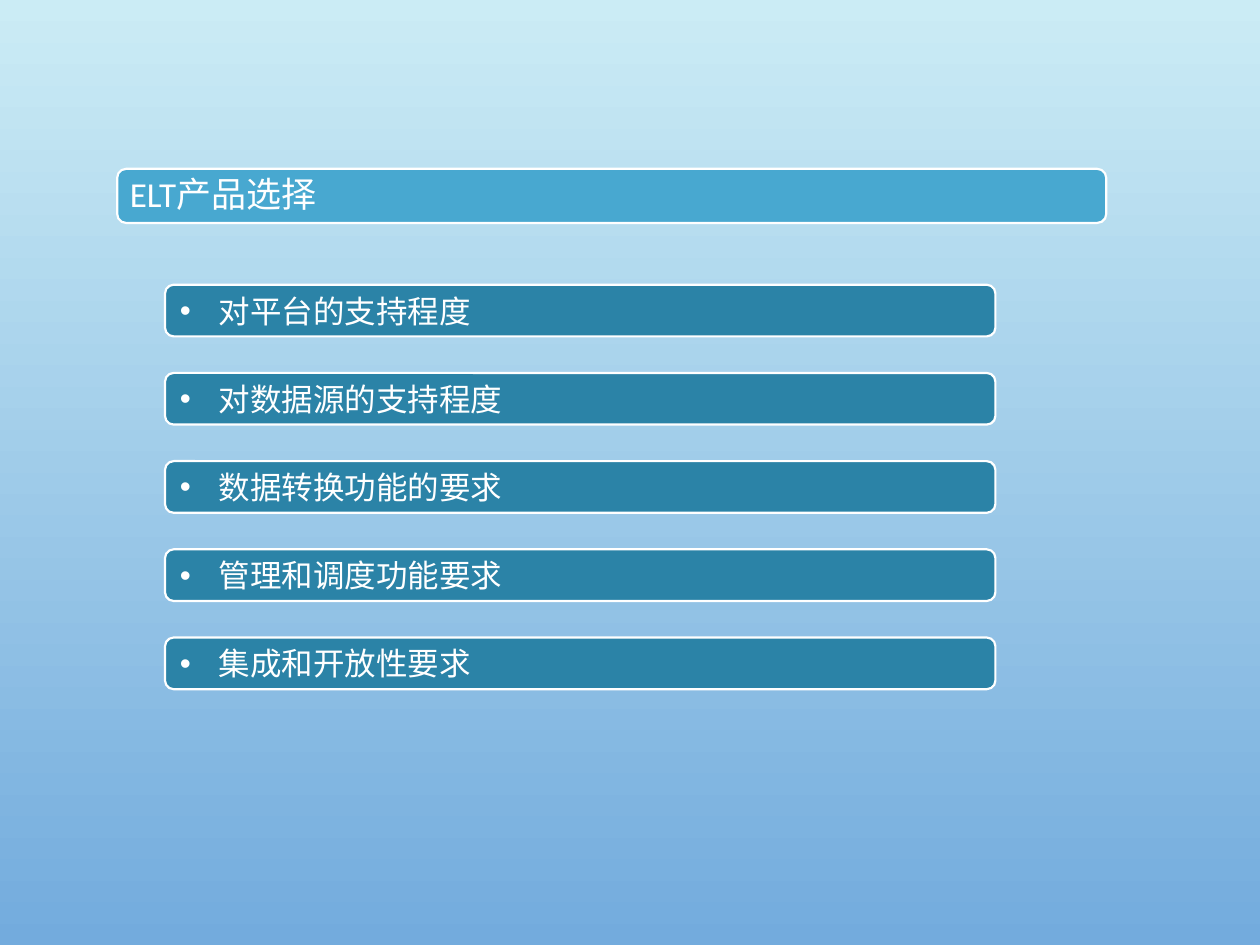
import pptx
import pptx.dml.color
import pptx.enum.shapes
import pptx.enum.text
import pptx.oxml
import pptx.oxml.ns
import pptx.util

RGBColor = pptx.dml.color.RGBColor
WHITE = RGBColor(0xFF, 0xFF, 0xFF)
SKY_TOP = RGBColor(0xCB, 0xEC, 0xF5)
SKY_BOTTOM = RGBColor(0x73, 0xAB, 0xDD)
HEADING_BLUE = RGBColor(0x48, 0xA8, 0xD0)
CRITERION_BLUE = RGBColor(0x2B, 0x83, 0xA7)

FONT = "Calibri"
WIDTH = pptx.util.Inches(10)
HEIGHT = pptx.util.Inches(7.5)
COLUMN = WIDTH / 100
ROW = HEIGHT / 75

CRITERIA = [
    "对平台的支持程度",
    "对数据源的支持程度",
    "数据转换功能的要求",
    "管理和调度功能要求",
    "集成和开放性要求",
]


def place(box):
    left, top, width, height = box
    return (round(left * COLUMN), round(top * ROW),
            round(width * COLUMN), round(height * ROW))


def add_bar(shapes, box, color):
    bar = shapes.add_shape(
        pptx.enum.shapes.MSO_SHAPE.ROUNDED_RECTANGLE, *place(box))
    bar.shadow.inherit = False
    bar.fill.solid()
    bar.fill.fore_color.rgb = color
    bar.line.color.rgb = WHITE
    bar.line.width = pptx.util.Pt(1.25)
    return bar


def write(shape, text, size):
    frame = shape.text_frame
    frame.word_wrap = True
    frame.vertical_anchor = pptx.enum.text.MSO_ANCHOR.MIDDLE
    paragraph = frame.paragraphs[0]
    paragraph.text = text
    paragraph.alignment = pptx.enum.text.PP_ALIGN.LEFT
    paragraph.font.name = FONT
    paragraph.font.size = pptx.util.Pt(size)
    paragraph.font.color.rgb = WHITE
    return paragraph


def add_bullet(paragraph, indent):
    properties = paragraph._p.get_or_add_pPr()
    properties.set("marL", str(indent))
    properties.set("indent", str(-indent))
    namespace = pptx.oxml.ns.nsdecls("a")
    for tag in ('buFont typeface="Arial"', 'buChar char="•"'):
        properties.append(pptx.oxml.parse_xml(f"<a:{tag} {namespace}/>"))


def add_background(slide):
    fill = slide.background.fill
    fill.gradient()
    fill.gradient_angle = 270
    for stop, color in zip(fill.gradient_stops, (SKY_TOP, SKY_BOTTOM)):
        stop.color.rgb = color


def add_heading(slide, box, text):
    left, top, width, height = box
    margin = 0.2
    group = slide.shapes.add_group_shape()
    add_bar(group.shapes, box, HEADING_BLUE)
    label = group.shapes.add_textbox(*place(
        (left + margin, top + margin, width - 2 * margin, height - 2 * margin)))
    frame = label.text_frame
    frame.margin_left = frame.margin_right = pptx.util.Inches(0.08)
    frame.margin_top = frame.margin_bottom = pptx.util.Inches(0.08)
    write(label, text, 20).line_spacing = 0.9


def add_criteria(slide, box, criteria):
    left, top, width, height = box
    bar_height = 4.1
    pitch = (height - bar_height) / (len(criteria) - 1)
    for index, text in enumerate(criteria):
        bar = add_bar(slide.shapes,
                      (left, top + index * pitch, width, bar_height),
                      CRITERION_BLUE)
        add_bullet(write(bar, text, 18), pptx.util.Inches(0.31))


presentation = pptx.Presentation()
presentation.slide_width = WIDTH
presentation.slide_height = HEIGHT
slide = presentation.slides.add_slide(presentation.slide_layouts[6])
add_background(slide)
add_heading(slide, (9.3, 13.4, 78.5, 4.3), "ELT产品选择")
add_criteria(slide, (13.1, 22.6, 65.9, 32.1), CRITERIA)
presentation.save("out.pptx")
